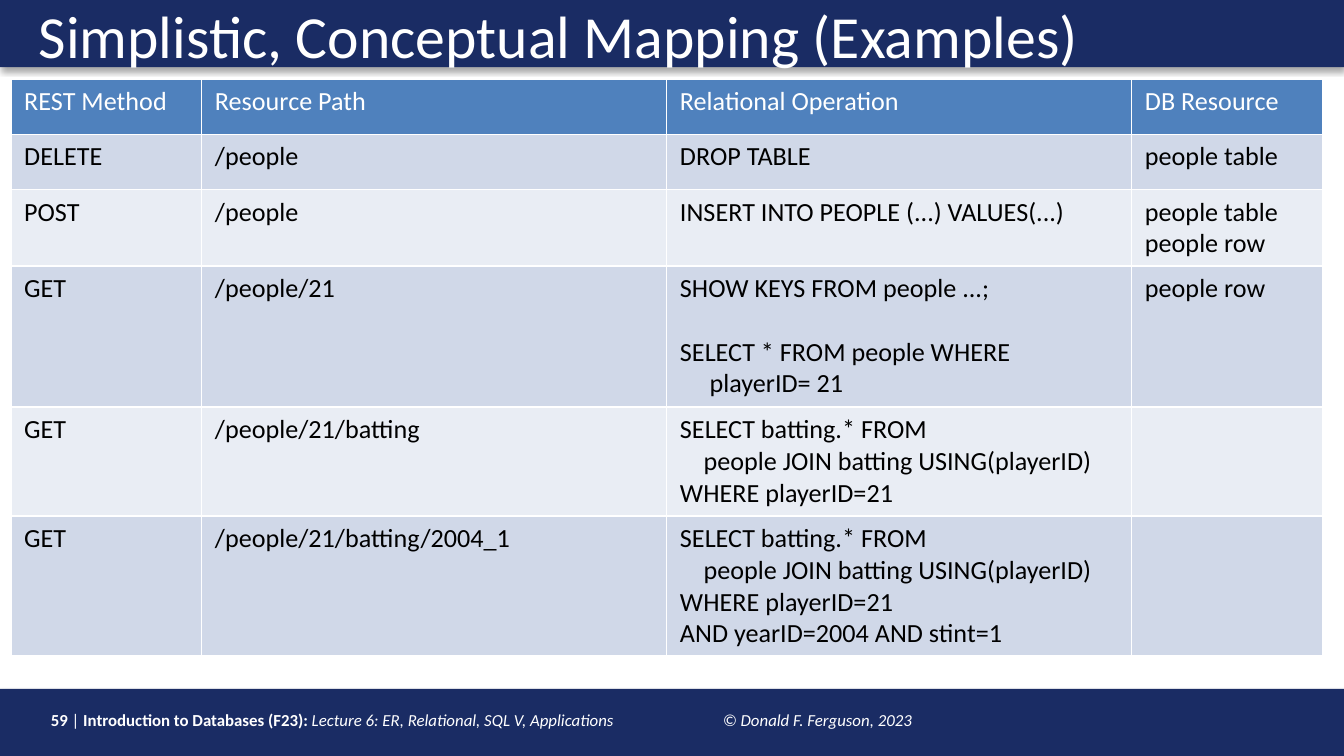
from lxml import etree
from pptx import Presentation, util as u
from pptx.dml.color import RGBColor
from pptx.enum import shapes, text
from pptx.oxml.ns import qn

NAVY = RGBColor(0x1A, 0x2C, 0x64)
WHITE = RGBColor(0xFF, 0xFF, 0xFF)
BLACK = RGBColor(0, 0, 0)
HEADER = RGBColor(0x4F, 0x81, 0xBD)
BANDS = [RGBColor(0xE9, 0xED, 0xF4), RGBColor(0xD0, 0xD8, 0xE8)]

SLIDE_W, BAR_H = 10, 0.5
SLIDE_H = SLIDE_W * 9 / 16
COLS = [1.42, 3.46, 3.46, 1.42]
ROW_HEIGHTS = [0.41, 0.41, 0.57, 1.05, 0.81, 1.04]
JOIN = "SELECT batting.* FROM\n    people JOIN batting USING(playerID)\nWHERE playerID=21"
ROWS = [
    ["REST Method", "Resource Path", "Relational Operation", "DB Resource"],
    ["DELETE", "/people", "DROP TABLE", "people table"],
    ["POST", "/people", "INSERT INTO PEOPLE (...) VALUES(...)", "people table\npeople row"],
    ["GET", "/people/21",
     "SHOW KEYS FROM people ...;\n\nSELECT * FROM people WHERE\n     playerID= 21", "people row"],
    ["GET", "/people/21/batting", JOIN, ""],
    ["GET", "/people/21/batting/2004_1", JOIN + "\nAND yearID=2004 AND stint=1", ""],
]


def add_run(p, words, size=14, color=BLACK, bold=False, italic=False):
    """Append formatted text to a paragraph, with line breaks at newlines."""
    for i, line in enumerate(words.split("\n")):
        if i:
            p.add_line_break()
            etree.SubElement(p._p[-1], qn("a:rPr"), sz=str(size * 100))
        r = p.add_run()
        r.text = line
        r.font.name, r.font.size = "Calibri", u.Pt(size)
        r.font.bold, r.font.italic = bold, italic
        r.font.color.rgb = color


def add_bar(s, top):
    """Draw a full-width navy bar with a soft shadow below it."""
    sp = s.shapes.add_shape(shapes.MSO_SHAPE.RECTANGLE, 0, u.Inches(top),
                            u.Inches(SLIDE_W), u.Inches(BAR_H))
    sp.fill.solid()
    sp.fill.fore_color.rgb = NAVY
    sp.line.fill.background()
    sp.shadow.inherit = False
    effects = sp.element.spPr.find(qn("a:effectLst"))
    shadow = etree.SubElement(effects, qn("a:outerShdw"), blurRad=str(u.Pt(3.1)),
                              dist=str(u.Pt(1.8)), dir="5400000", rotWithShape="0")
    color = etree.SubElement(shadow, qn("a:srgbClr"), val=str(BLACK))
    etree.SubElement(color, qn("a:alpha"), val="35000")


def add_text(s, left, top, width, height, anchor):
    """Add a wrapping text box and return its first paragraph."""
    tf = s.shapes.add_textbox(*map(u.Inches, (left, top, width, height))).text_frame
    tf.word_wrap = True
    tf.vertical_anchor = anchor
    return tf.paragraphs[0]


def add_footer(s):
    """Write the page number, course, lecture and copyright line."""
    p = add_text(s, 0.28, 5.23, 7.42, 0.25, text.MSO_ANCHOR.MIDDLE)
    tabs = etree.SubElement(p._p.get_or_add_pPr(), qn("a:tabLst"))
    for stop in (4.5, 5):
        etree.SubElement(tabs, qn("a:tab"), pos=str(u.Inches(stop)), algn="l")
    for words, bold, italic in [
        ("59 ", True, False),
        ("|", False, False),
        (" Introduction to Databases (F23): ", True, False),
        ("Lecture 6: ER, Relational, SQL V, Applications \t\t© Donald F. Ferguson, 2023", False, True),
    ]:
        add_run(p, words, size=9, color=WHITE, bold=bold, italic=italic)


def set_borders(cell):
    """Give a cell thin white borders."""
    tc_pr = cell._tc.get_or_add_tcPr()
    for side in "LRTB":
        ln = etree.SubElement(tc_pr, qn(f"a:ln{side}"), w=str(u.Pt(1)))
        fill = etree.SubElement(ln, qn("a:solidFill"))
        etree.SubElement(fill, qn("a:srgbClr"), val=str(WHITE))


def fill_cell(cell, words, fill, color):
    """Style a cell and write its blocks of lines, one paragraph each."""
    set_borders(cell)
    cell.fill.solid()
    cell.fill.fore_color.rgb = fill
    for i, block in enumerate(filter(None, words.split("\n\n"))):
        p = cell.text_frame.add_paragraph() if i else cell.text_frame.paragraphs[0]
        if i:
            p.space_before = u.Pt(17)
        add_run(p, block, color=color)


def add_mapping_table(s):
    """Build the table that maps REST calls to database operations."""
    table = s.shapes.add_table(len(ROWS), len(COLS), u.Inches(0.08), u.Inches(0.59),
                               u.Inches(sum(COLS)), u.Inches(sum(ROW_HEIGHTS))).table
    for column, width in zip(table.columns, COLS):
        column.width = u.Inches(width)
    for i, (row, height, values) in enumerate(zip(table.rows, ROW_HEIGHTS, ROWS)):
        row.height = u.Inches(height)
        for cell, words in zip(row.cells, values):
            if i == 0:
                fill_cell(cell, words, HEADER, WHITE)
            else:
                fill_cell(cell, words, BANDS[i % 2], BLACK)


def main():
    """Build and save the slide."""
    prs = Presentation()
    prs.slide_width, prs.slide_height = u.Inches(SLIDE_W), u.Inches(SLIDE_H)
    s = prs.slides.add_slide(prs.slide_layouts[6])
    add_bar(s, SLIDE_H - BAR_H)
    add_footer(s)
    add_bar(s, 0)
    title = add_text(s, 0.19, 0, 9.48, 0.48, text.MSO_ANCHOR.TOP)
    title.line_spacing = 0.9
    add_run(title, "Simplistic, Conceptual Mapping (Examples)", size=32, color=WHITE)
    add_mapping_table(s)
    prs.save("out.pptx")


if __name__ == "__main__":
    main()
